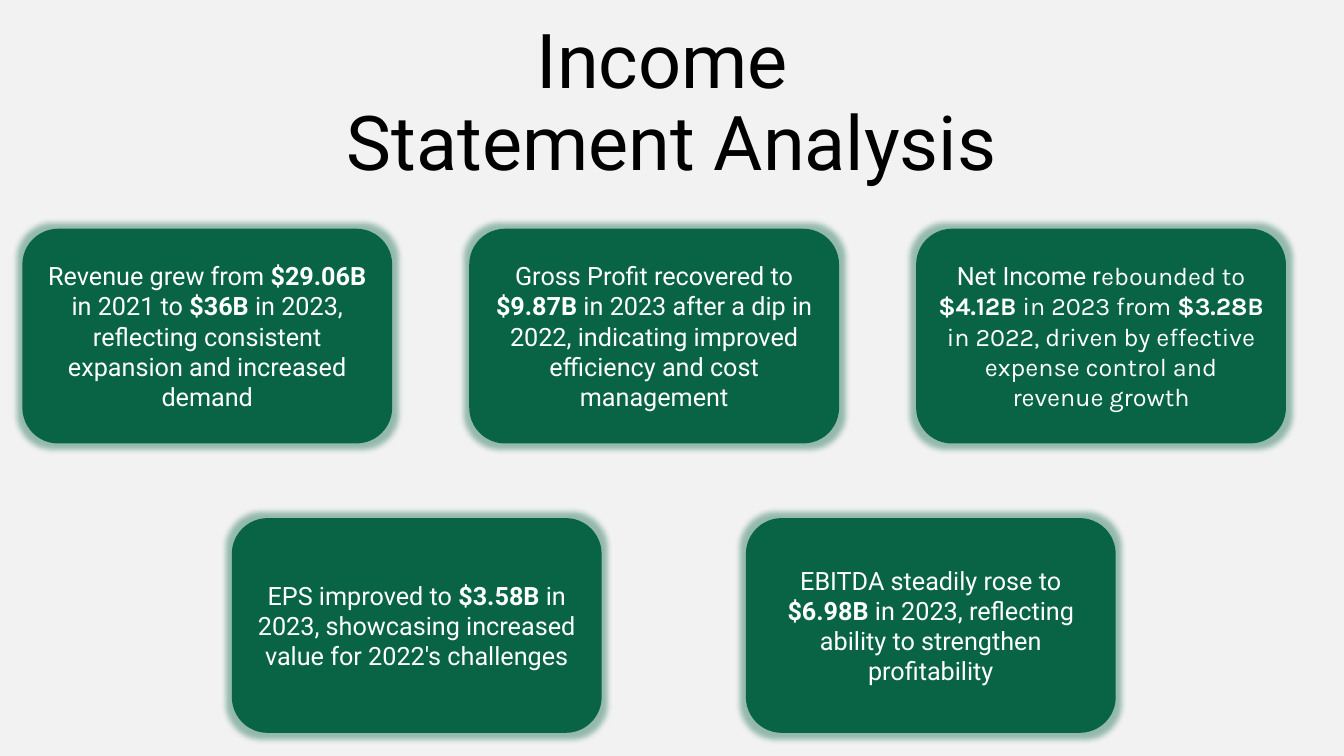
from lxml import etree
from pptx import Presentation
from pptx.dml.color import RGBColor
from pptx.enum.shapes import MSO_SHAPE
from pptx.enum.text import MSO_ANCHOR, MSO_AUTO_SIZE, PP_ALIGN
from pptx.oxml.ns import qn
from pptx.util import Pt

CENTER = PP_ALIGN.CENTER
MIDDLE, BOTTOM = MSO_ANCHOR.MIDDLE, MSO_ANCHOR.BOTTOM
NO_AUTOFIT = MSO_AUTO_SIZE.NONE
ROUNDED = MSO_SHAPE.ROUNDED_RECTANGLE

COLORS = {"background": "F2F2F2", "title": "000000", "card": "086444", "card_text": "FFFFFF"}
FONTS = ("Roboto", "Karla")
CARD_WIDTH, CARD_HEIGHT = 264.2, 153.4

CARD_ROWS = [
    (16, 163.4, 319.2, [
        ["Revenue grew from **$29.06B** in 2021 to **$36B** in 2023, "
         "reflecting consistent expansion and increased demand"],
        ["Gross Profit recovered to **$9.87B** in 2023 after a dip in 2022, "
         "indicating improved efficiency and cost management"],
        ["Net Income r",
         "ebounded to **$4.12B** in 2023 from **$3.28B** in 2022, "
         "driven by effective expense control and revenue growth"],
    ]),
    (165.6, 370.1, 367.2, [
        ["EPS improved to **$3.58B** in 2023, showcasing increased value for 2022's challenges"],
        ["EBITDA steadily rose to **$6.98B** in 2023, "
         "reflecting ability to strengthen profitability"],
    ]),
]


class StatementSlide:
    """Holds the style and the current slide, and draws each kind of element."""

    def __init__(self, presentation):
        self.slide = presentation.slides.add_slide(presentation.slide_layouts[0])
        subtitle = self.slide.placeholders[1].element
        subtitle.getparent().remove(subtitle)
        self.fill(self.slide.background.fill, "background")

    def fill(self, target, color):
        target.solid()
        target.fore_color.rgb = RGBColor.from_string(COLORS[color])

    def style(self, run, size, color, font=FONTS[0], bold=False):
        run.font.name = font
        run.font.size = Pt(size)
        run.font.bold = bold
        run.font.color.rgb = RGBColor.from_string(COLORS[color])

    def title(self, wording, left, top, width, height):
        heading = self.slide.shapes.title
        heading.left, heading.top = Pt(left), Pt(top)
        heading.width, heading.height = Pt(width), Pt(height)
        frame = heading.text_frame
        frame.text = wording
        frame.auto_size = NO_AUTOFIT
        frame.vertical_anchor = BOTTOM
        paragraph = frame.paragraphs[0]
        paragraph.alignment = CENTER
        paragraph.line_spacing = 0.9
        for run in paragraph.runs:
            self.style(run, 54, "title")

    def glow(self, shape, radius, opacity):
        effects = shape._element.spPr.find(qn("a:effectLst"))
        halo = etree.SubElement(effects, qn("a:glow"), rad=str(Pt(radius)))
        tint = etree.SubElement(halo, qn("a:srgbClr"), val=COLORS["card"])
        etree.SubElement(tint, qn("a:alpha"), val=str(opacity * 1000))

    def card(self, passages, left, top):
        card = self.slide.shapes.add_shape(
            ROUNDED, Pt(left), Pt(top), Pt(CARD_WIDTH), Pt(CARD_HEIGHT))
        self.fill(card.fill, "card")
        card.line.fill.background()
        card.shadow.inherit = False
        self.glow(card, 8, 40)
        frame = card.text_frame
        frame.word_wrap = True
        frame.vertical_anchor = MIDDLE
        paragraph = frame.paragraphs[0]
        paragraph.alignment = CENTER
        for passage, font in zip(passages, FONTS):
            for index, wording in enumerate(passage.split("**")):
                run = paragraph.add_run()
                run.text = wording
                self.style(run, 18, "card_text", font, bold=index % 2 == 1)


def main():
    presentation = Presentation()
    presentation.slide_width, presentation.slide_height = Pt(960), Pt(540)
    statement = StatementSlide(presentation)
    statement.title("Income \vStatement Analysis", 165.6, 10.1, 628.6, 126.7)
    for left, top, pitch, cards in CARD_ROWS:
        for column, passages in enumerate(cards):
            statement.card(passages, left + column * pitch, top)
    presentation.save("out.pptx")


if __name__ == "__main__":
    main()
